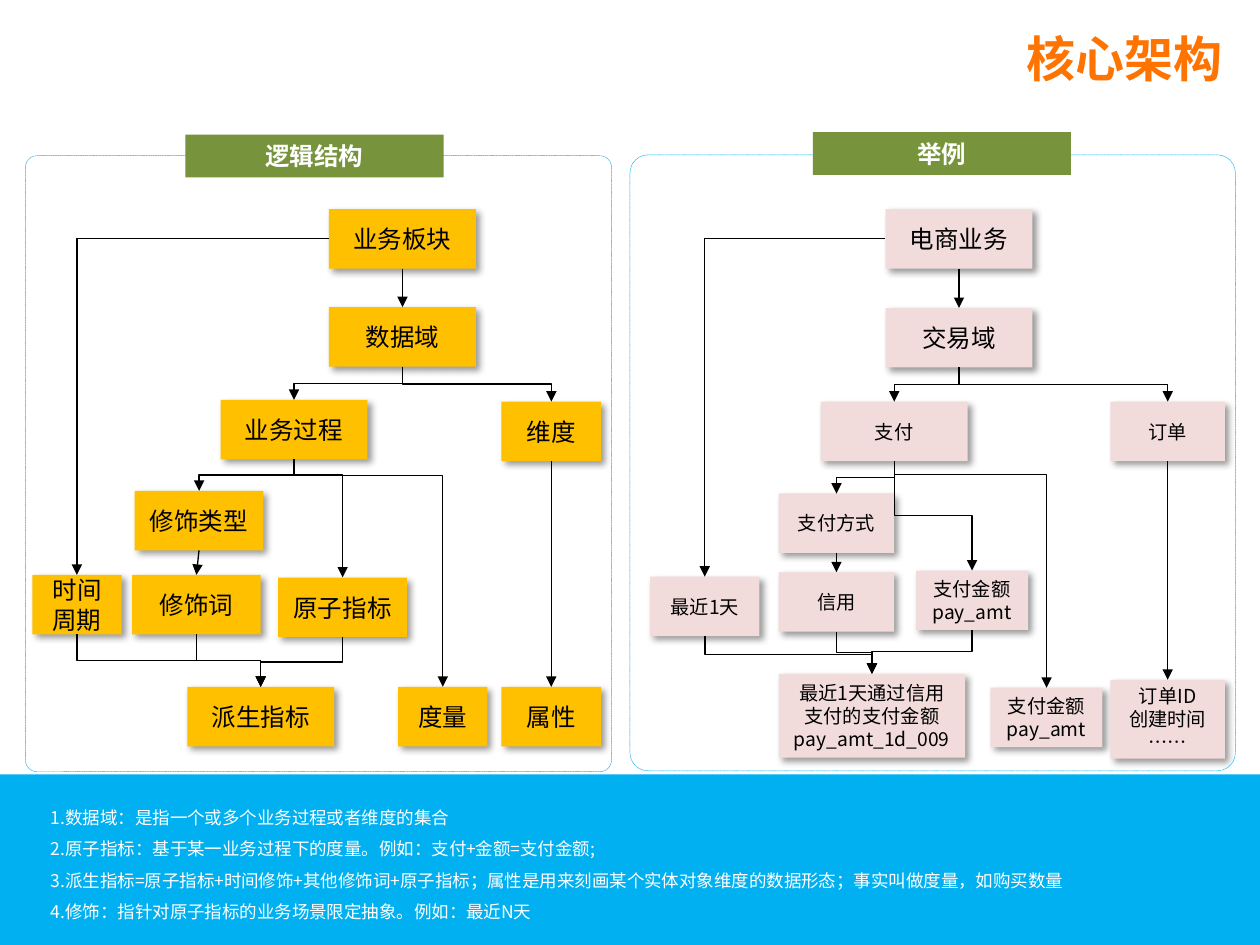
from lxml.etree import SubElement
from pptx import Presentation
from pptx.dml.color import RGBColor
from pptx.enum.dml import MSO_LINE
from pptx.enum.shapes import MSO_CONNECTOR, MSO_SHAPE
from pptx.enum.text import MSO_ANCHOR, PP_ALIGN
from pptx.oxml.ns import qn
from pptx.util import Pt

FONT = "Noto Sans CJK SC"
ORANGE = RGBColor(0xFF, 0x73, 0x00)
AMBER = RGBColor(0xFF, 0xC0, 0x00)
PINK = RGBColor(0xF2, 0xDC, 0xDB)
GREEN = RGBColor(0x77, 0x93, 0x3C)
BLUE = RGBColor(0x00, 0xB0, 0xF0)
BLACK = RGBColor(0, 0, 0)
WHITE = RGBColor(0xFF, 0xFF, 0xFF)
BOTTOM, LEFT, TOP = 2, 1, 0

deck = Presentation()
deck.slide_width, deck.slide_height = Pt(720), Pt(540)
page = deck.slides.add_slide(deck.slide_layouts[6])


def write(shape, text, size, colour, align=PP_ALIGN.CENTER, bold=False, spacing=None):
    """Fill a shape with wrapped text, one paragraph per line."""
    frame = shape.text_frame
    frame.word_wrap = True
    frame.text = text
    for para in frame.paragraphs:
        para.alignment = align
        para.line_spacing = spacing
        font = para.font
        font.name, font.size, font.bold = FONT, Pt(size), bold
        font.color.rgb = colour
        defaults = para._p.pPr.find(qn("a:defRPr"))
        SubElement(defaults, qn("a:ea"), typeface=FONT)


def add_plain(kind, left, top, width, height, fill=None):
    """Add a preset shape without line or shadow."""
    shape = page.shapes.add_shape(kind, Pt(left), Pt(top), Pt(width), Pt(height))
    shape.shadow.inherit = False
    shape.line.fill.background()
    if fill is None:
        shape.fill.background()
    else:
        shape.fill.solid()
        shape.fill.fore_color.rgb = fill
    return shape


title = page.shapes.add_textbox(Pt(111.5), Pt(13), Pt(594), Pt(45))
write(title, "核心架构", 28, ORANGE, PP_ALIGN.RIGHT, bold=True)

# Definitions band
band = add_plain(MSO_SHAPE.ROUNDED_RECTANGLE, -20, 442.5, 748, 102.5, BLUE)
band.adjustments[0] = 0.05
definitions = page.shapes.add_textbox(Pt(22), Pt(451.5), Pt(664), Pt(80))
write(definitions, "\n".join([
    "1.数据域：是指一个或多个业务过程或者维度的集合",
    "2.原子指标：基于某一业务过程下的度量。例如：支付+金额=支付金额;",
    "3.派生指标=原子指标+时间修饰+其他修饰词+原子指标；属性是用来刻画某个实体对象维度的数据形态；事实叫做度量，如购买数量",
    "4.修饰：指针对原子指标的业务场景限定抽象。例如：最近N天",
]), 10, WHITE, PP_ALIGN.LEFT, spacing=1.5)

# Framed panels with headings
panels = [
    ("逻辑结构", 14.5, 89, 335, 0.02, 106, 77),
    ("举例", 360, 88.5, 346, 0.03, 464.5, 75.5),
]
for heading, left, top, width, corner, tab_left, tab_top in panels:
    panel = add_plain(MSO_SHAPE.ROUNDED_RECTANGLE, left, top, width, 352)
    panel.adjustments[0] = corner
    panel.line.color.rgb = BLUE
    panel.line.width = Pt(0.25)
    panel.line.dash_style = MSO_LINE.SQUARE_DOT
    tab = add_plain(MSO_SHAPE.RECTANGLE, tab_left, tab_top, 147.5, 24.5, GREEN)
    write(tab, heading, 14, WHITE, bold=True)

# Nodes: name, text, left, top, width, height, text size
logic_nodes = [
    ("sector", "业务板块", 188, 119.5, 84, 34, 14),
    ("domain", "数据域", 188, 175.5, 84, 34, 14),
    ("process", "业务过程", 126, 228.5, 84, 34, 14),
    ("dimension", "维度", 286.5, 229.5, 57, 34, 14),
    ("modifier type", "修饰类型", 77, 280.5, 73.5, 34, 14),
    ("modifier", "修饰词", 75.5, 328.5, 73.5, 34, 14),
    ("atomic", "原子指标", 159, 330, 73.5, 34, 14),
    ("derived", "派生指标", 107, 392.5, 84, 34, 14),
    ("measure", "度量", 227.5, 392.5, 51, 34, 14),
    ("attribute", "属性", 286.5, 392.5, 57, 34, 14),
    ("period", "时间周期", 18.5, 328.5, 51, 34, 14),
]
example_nodes = [
    ("commerce", "电商业务", 506, 119.5, 84, 34, 14),
    ("trade", "交易域", 506, 176, 84, 34, 14),
    ("payment", "支付", 469, 229.5, 84, 34, 11),
    ("order", "订单", 634.5, 229.5, 65.5, 34, 11),
    ("pay method", "支付方式", 445, 282, 66, 34, 11),
    ("credit", "信用", 445, 327, 66, 34, 11),
    ("pay amount", "支付金额\npay_amt", 523.5, 326, 64, 34, 11),
    ("credit amount", "最近1天通过信用支付的支付金额\npay_amt_1d_009", 445, 385, 106.5, 48, 11),
    ("amount measure", "支付金额\npay_amt", 566, 393, 64, 34, 11),
    ("order fields", "订单ID\n创建时间\n……", 634.5, 388.5, 65.5, 45, 11),
    ("last day", "最近1天", 371.5, 329.5, 62.5, 34, 11),
]
nodes = {}
for fill, group in ((AMBER, logic_nodes), (PINK, example_nodes)):
    for name, text, left, top, width, height, size in group:
        node = add_plain(MSO_SHAPE.RECTANGLE, left, top, width, height, fill)
        node.text_frame.vertical_anchor = MSO_ANCHOR.MIDDLE
        write(node, text, size, BLACK)
        effects = node._element.spPr.find(qn("a:effectLst"))
        shadow = SubElement(effects, qn("a:outerShdw"), blurRad=str(Pt(4)), dist=str(Pt(3)),
                            dir="2700000", algn="tl", rotWithShape="0")
        shade = SubElement(shadow, qn("a:srgbClr"), val="000000")
        SubElement(shade, qn("a:alpha"), val="40000")
        nodes[name] = node

# Links: start, end, share of the drop before the turn (None: from the left side)
links = [
    ("sector", "domain", 0.5), ("domain", "process", 0.5), ("domain", "dimension", 0.5),
    ("process", "modifier type", 0.5), ("process", "atomic", 0.13),
    ("process", "measure", 0.07), ("modifier type", "modifier", 0.5),
    ("dimension", "attribute", 0.5), ("atomic", "derived", 0.5),
    ("modifier", "derived", 0.5), ("period", "derived", 0.5), ("sector", "period", None),
    ("commerce", "trade", 0.5), ("trade", "payment", 0.5), ("trade", "order", 0.5),
    ("payment", "pay method", 0.5), ("payment", "pay amount", 0.5),
    ("payment", "amount measure", 0.06), ("pay method", "credit", 0.5),
    ("order", "order fields", 0.5), ("pay amount", "credit amount", 0.5),
    ("credit", "credit amount", 0.5), ("last day", "credit amount", 0.5),
    ("commerce", "last day", None),
]
for start, end, turn in links:
    source, target = nodes[start], nodes[end]
    shift = target.left + target.width // 2 - source.left - source.width // 2
    straight = abs(shift) < Pt(2)
    kind = MSO_CONNECTOR.STRAIGHT if straight else MSO_CONNECTOR.ELBOW
    link = page.shapes.add_connector(kind, 0, 0, 0, 0)
    link.begin_connect(source, LEFT if turn is None else BOTTOM)
    link.end_connect(target, TOP)
    link.line.color.rgb = BLACK
    link.line.width = Pt(0.75)
    properties = link._element.spPr
    geometry = properties.find(qn("a:prstGeom"))
    if turn is None:
        geometry.set("prst", "bentConnector2")
    elif not straight:
        # Turn the elbow a quarter so that it leaves downwards
        across, drop = link.width, link.height
        link.left += (across - drop) // 2
        link.top += (drop - across) // 2
        link.width, link.height = drop, across
        frame = properties.find(qn("a:xfrm"))
        frame.set("rot", "5400000" if shift < 0 else "16200000")
        frame.set("flipH", "0" if shift < 0 else "1")
        guides = geometry.find(qn("a:avLst"))
        SubElement(guides, qn("a:gd"), name="adj1", fmla=f"val {round(turn * 100000)}")
    SubElement(properties.find(qn("a:ln")), qn("a:tailEnd"), type="triangle")
    SubElement(properties, qn("a:effectLst"))

deck.save("out.pptx")
